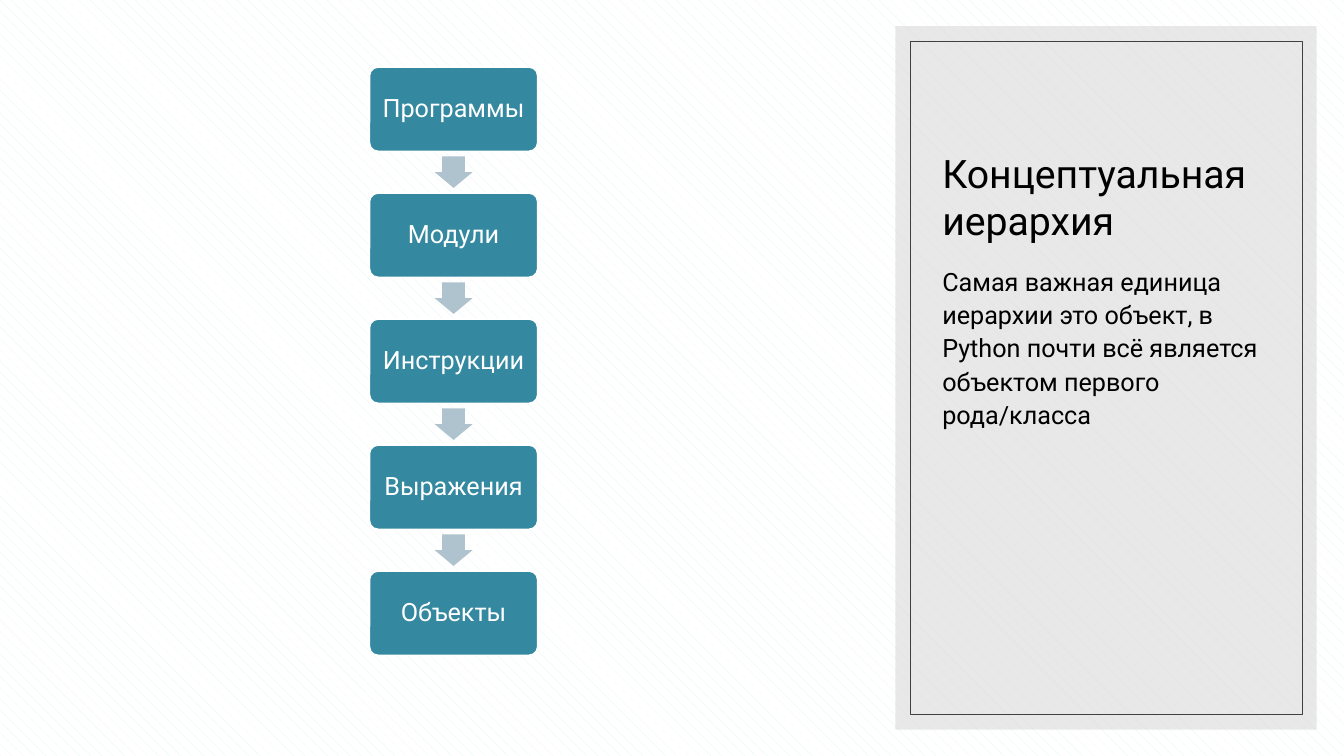
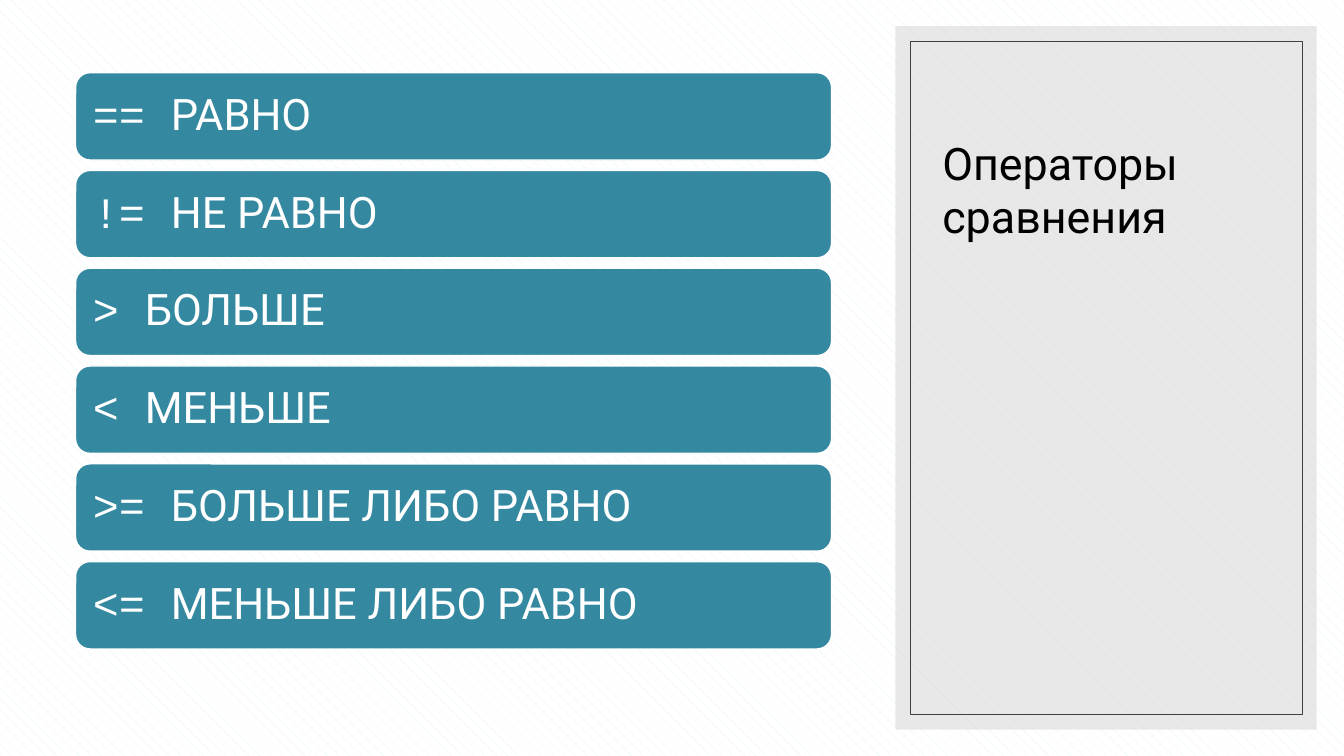
from lxml.etree import SubElement
from pptx import Presentation
from pptx.dml.color import RGBColor
from pptx.enum.dml import MSO_PATTERN
from pptx.enum.shapes import MSO_SHAPE as Preset
from pptx.enum.text import MSO_ANCHOR as Anchor, PP_ALIGN as Align
from pptx.oxml.ns import qn
from pptx.util import Pt

WHITE = RGBColor(0xFF, 0xFF, 0xFF)
BLACK = RGBColor(0x00, 0x00, 0x00)
TEAL = RGBColor(0x34, 0x88, 0xA0)
PALE_TEAL = RGBColor(0xDE, 0xF4, 0xF7)
ARROW_BLUE = RGBColor(0xAE, 0xC3, 0xCD)
PANEL_GRAY = RGBColor(0xD9, 0xD9, 0xD9)
FRAME_GRAY = RGBColor(0x40, 0x40, 0x40)

TEXT_FONT = "Roboto"
CODE_FONT = "Courier New"

LEVELS = ["Программы", "Модули", "Инструкции", "Выражения", "Объекты"]
OPERATORS = [
    ("==", "РАВНО"),
    ("!=", "НЕ РАВНО"),
    (">", "БОЛЬШЕ"),
    ("<", "МЕНЬШЕ"),
    (">=", "БОЛЬШЕ ЛИБО РАВНО"),
    ("<=", "МЕНЬШЕ ЛИБО РАВНО"),
]


class Deck:
    """Holds the shared style and the slide being drawn; lengths are points."""

    def __init__(self):
        """Start a widescreen presentation."""
        self.show = Presentation()
        self.show.slide_width, self.show.slide_height = Pt(960), Pt(540)
        self.slide = None

    def new_slide(self, title, title_size):
        """Add a slide with the hatched background, side panel and title."""
        self.slide = self.show.slides.add_slide(self.show.slide_layouts[6])
        hatch = self.slide.background.fill
        hatch.patterned()
        hatch.pattern = MSO_PATTERN.SHINGLE
        hatch.fore_color.rgb, hatch.back_color.rgb = PALE_TEAL, WHITE

        panel = self.shape(Preset.RECTANGLE, (639.5, 18.75, 301, 502.5), fill=PANEL_GRAY)
        tint = panel.fill._xPr.find(qn("a:solidFill"))[0]
        SubElement(tint, qn("a:alpha")).set("val", "60000")
        self.shape(Preset.RECTANGLE, (650.25, 29.5, 280, 481), line=FRAME_GRAY, weight=0.5)
        self.side_text(title, title_size, 47.5, 129.6, Anchor.BOTTOM)

    def shape(self, preset, box, fill=None, line=None, weight=1, adjust=()):
        """Draw a preset shape without shadow."""
        shape = self.slide.shapes.add_shape(preset, *map(Pt, box))
        shape.shadow.inherit = False
        for index, value in enumerate(adjust):
            shape.adjustments[index] = value
        if fill is None:
            shape.fill.background()
        else:
            shape.fill.solid()
            shape.fill.fore_color.rgb = fill
        if line is None:
            shape.line.fill.background()
        else:
            shape.line.color.rgb = line
            shape.line.width = Pt(weight)
        return shape

    def style_run(self, run, size, color, font=TEXT_FONT):
        """Set the size, colour and typeface of a run."""
        run.font.size, run.font.name = Pt(size), font
        run.font.color.rgb = color

    def side_text(self, words, size, top, height, anchor=Anchor.TOP):
        """Write one paragraph in the side panel and return it."""
        frame = self.slide.shapes.add_textbox(Pt(666), Pt(top), Pt(249), Pt(height)).text_frame
        frame.word_wrap = True
        frame.vertical_anchor = anchor
        frame.text = words
        paragraph = frame.paragraphs[0]
        self.style_run(paragraph.runs[0], size, BLACK)
        return paragraph

    def card(self, box, parts, size, inset, align=Align.LEFT, adjust=()):
        """Draw a teal rounded card; parts are (words, font) pairs."""
        card = self.shape(Preset.ROUNDED_RECTANGLE, box, TEAL, WHITE, adjust=adjust)
        frame = card.text_frame
        frame.word_wrap = True
        frame.vertical_anchor = Anchor.MIDDLE
        frame.margin_left = frame.margin_right = Pt(inset)
        frame.margin_top = frame.margin_bottom = Pt(inset)
        paragraph = frame.paragraphs[0]
        paragraph.alignment, paragraph.line_spacing = align, 0.9
        for words, font in parts:
            run = paragraph.add_run()
            run.text = words
            self.style_run(run, size, WHITE, font)

    def hierarchy(self, levels):
        """Stack the levels from top to bottom with an arrow in each gap."""
        left, top, width, height, gap = 264, 48, 120, 60, 30
        arrow_width, arrow_height = 27, 22.5
        for index, level in enumerate(levels):
            y = top + index * (height + gap)
            if index:
                arrow_box = (left + (width - arrow_width) / 2,
                             y - (gap + arrow_height) / 2, arrow_width, arrow_height)
                self.shape(Preset.DOWN_ARROW, arrow_box, ARROW_BLUE, adjust=(0.6, 0.5))
            self.card((left, y, width, height), [(level, TEXT_FONT)], 18, 5,
                      Align.CENTER, (0.1,))

    def operator_list(self, operators):
        """List each operator with its meaning on a full-width card."""
        for index, (sign, meaning) in enumerate(operators):
            self.card((54, 51.9 + index * 69.85, 540, 62.4),
                      [(sign + " ", CODE_FONT), (meaning, TEXT_FONT)], 31, 9.3)


deck = Deck()

deck.new_slide("Концептуальная иерархия", 28)
deck.hierarchy(LEVELS)
summary = deck.side_text(
    "Самая важная единица иерархии это объект, в Python почти всё "
    "является объектом первого рода/класса", 18, 184.5, 283.5)
summary.line_spacing, summary.space_before = 1.1, Pt(8)

deck.new_slide("Операторы сравнения", 32)
deck.operator_list(OPERATORS)

deck.show.save("out.pptx")
